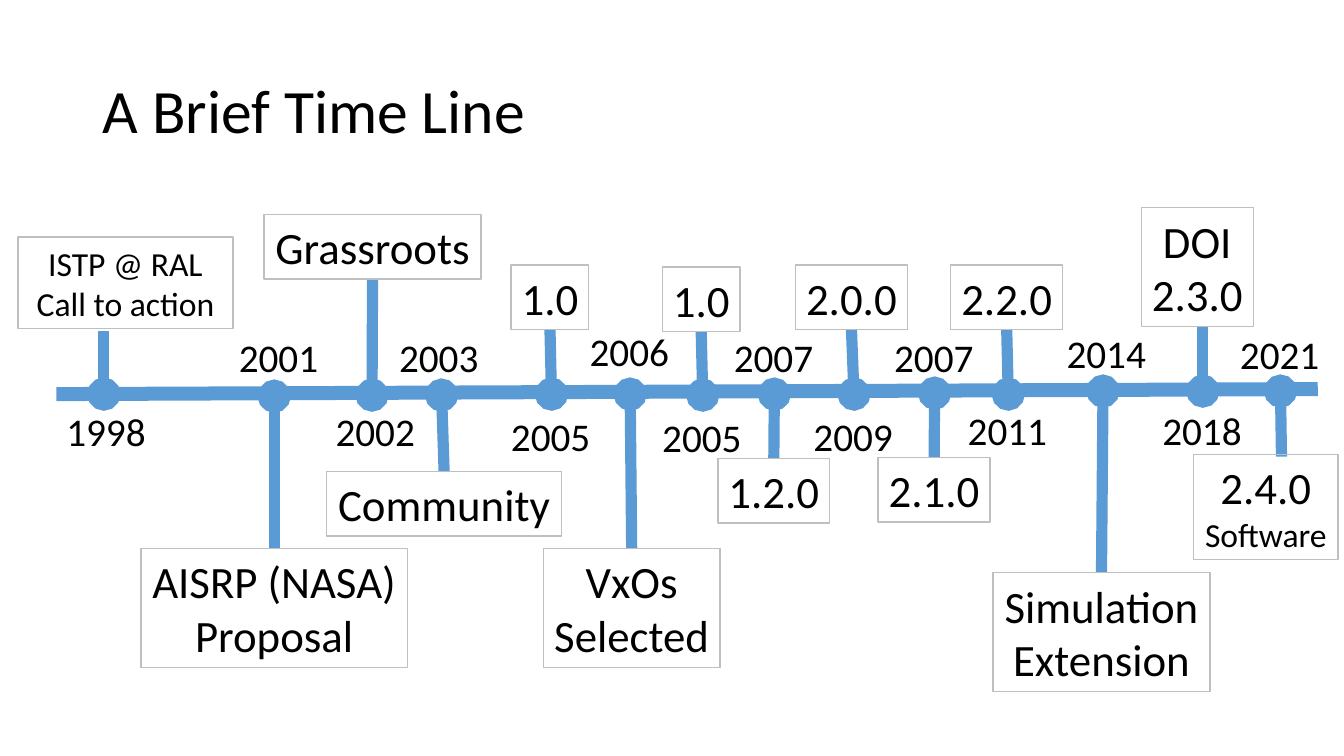
from lxml import etree
from pptx import Presentation
from pptx.dml.color import RGBColor
from pptx.enum.shapes import MSO_CONNECTOR, MSO_SHAPE
from pptx.enum.text import MSO_ANCHOR, MSO_AUTO_SIZE, PP_ALIGN
from pptx.oxml.ns import qn
from pptx.util import Inches, Pt

RECTANGLE = MSO_SHAPE.RECTANGLE
STRAIGHT = MSO_CONNECTOR.STRAIGHT
MIDDLE = MSO_ANCHOR.MIDDLE
GROW = MSO_AUTO_SIZE.SHAPE_TO_FIT_TEXT
LEFT, CENTER = PP_ALIGN.LEFT, PP_ALIGN.CENTER
TOP_SIDE, BOTTOM_SIDE = 0, 2
BLUE, GRAY, BLACK = "5B9BD5", "BFBFBF", "000000"


def write(frame, lines, align):
    """Fill a text frame with (text, size) paragraphs."""
    for index, (text, size) in enumerate(lines):
        para = frame.add_paragraph() if index else frame.paragraphs[0]
        para.text = text
        para.alignment = align
        para.font.name = "Calibri"
        para.font.size = Pt(size)
        para.font.color.rgb = RGBColor.from_string(BLACK)


def add_line(shapes, start, end, width):
    line = shapes.add_connector(STRAIGHT, *map(Inches, start + end))
    line.line.color.rgb = RGBColor.from_string(BLUE)
    line.line.width = Pt(width)
    etree.SubElement(line._element.spPr, qn("a:effectLst"))
    return line


deck = Presentation()
deck.slide_width, deck.slide_height = Inches(13.33), Inches(7.5)
page = deck.slides.add_slide(deck.slide_layouts[6])

# Title
title = page.shapes.add_textbox(Inches(0.92), Inches(0.4), Inches(11.5), Inches(1.45))
title.text_frame.word_wrap = True
title.text_frame.vertical_anchor = MIDDLE
write(title.text_frame, [("A Brief Time Line", 44)], LEFT)
title.text_frame.paragraphs[0].line_spacing = 0.9

# Time axis
add_line(page.shapes, (0.56, 3.91), (13.07, 3.86), 10)

# Events: stem start, stem end, box (left, top, width, height), box lines, year, year corner
events = [
    ((1.03, 3.91), (1.03, 3.28), (0.18, 2.35, 2.13, 0.91),
     [("ISTP @ RAL", 24), ("Call to action", 24)], "1998", (0.56, 3.99)),
    ((2.72, 3.93), (2.72, 5.44), (1.4, 5.44, 2.64, 1.18),
     [("AISRP (NASA)", 32), ("Proposal", 32)], "2001", (2.27, 3.26)),
    ((3.69, 3.92), (3.69, 2.77), (2.62, 2.13, 2.15, 0.64),
     [("Grassroots", 32)], "2002", (3.23, 3.99)),
    ((4.38, 3.92), (4.41, 4.68), (3.24, 4.68, 2.33, 0.64),
     [("Community", 32)], "2003", (3.86, 3.26)),
    ((5.47, 3.91), (5.47, 3.26), (5.07, 2.63, 0.77, 0.64),
     [("1.0", 32)], "2005", (4.97, 4.04)),
    ((6.25, 3.91), (6.26, 5.44), (5.39, 5.44, 1.75, 1.18),
     [("VxOs", 32), ("Selected", 32)], "2006", (5.75, 3.2)),
    ((6.97, 3.92), (6.97, 3.28), (6.57, 2.65, 0.77, 0.64),
     [("1.0", 32)], "2005", (6.47, 4.05)),
    ((8.47, 3.91), (8.47, 3.26), (7.89, 2.63, 1.11, 0.64),
     [("2.0.0", 32)], "2009", (7.97, 4.04)),
    ((10, 3.91), (10, 3.26), (9.43, 2.63, 1.11, 0.64),
     [("2.2.0", 32)], "2011", (9.5, 3.98)),
    ((7.68, 3.91), (7.69, 4.56), (7.12, 4.55, 1.11, 0.64),
     [("1.2.0", 32)], "2007", (7.18, 3.26)),
    ((9.27, 3.9), (9.28, 4.56), (8.71, 4.54, 1.11, 0.64),
     [("2.1.0", 32)], "2007", (8.77, 3.26)),
    ((10.94, 3.88), (10.92, 5.68), (9.85, 5.68, 2.15, 1.18),
     [("Simulation\vExtension", 32)], "2014", (10.48, 3.22)),
    ((11.93, 3.88), (11.93, 3.24), (11.32, 2.06, 1.11, 1.18),
     [("DOI\v2.3.0", 32)], "2018", (11.43, 3.98)),
    ((12.7, 3.88), (12.71, 4.53), (11.84, 4.51, 1.43, 1.04),
     [("2.4.0", 32), ("Software", 24)], "2021", (12.2, 3.23)),
]

for start, end, area, lines, year, corner in events:
    event = page.shapes.add_group_shape().shapes

    # Stem with a round marker on the axis
    stem = add_line(event, start, end, 8)
    etree.SubElement(stem.line._get_or_add_ln(), qn("a:headEnd"), type="oval")

    # Event box
    box = event.add_shape(RECTANGLE, *map(Inches, area))
    box.shadow.inherit = False
    box.fill.background()
    box.line.color.rgb = RGBColor.from_string(GRAY)
    box.line.width = Pt(1)
    box.text_frame.word_wrap = year == "1998"
    box.text_frame.auto_size = GROW
    write(box.text_frame, lines, CENTER)

    # Join the stem where it meets the middle of the box side
    if abs(area[0] + area[2] / 2 - end[0]) < 0.03:
        stem.end_connect(box, BOTTOM_SIDE if end[1] < start[1] else TOP_SIDE)

    # Year label
    label = event.add_textbox(*map(Inches, corner + (1, 0.57)))
    label.text_frame.word_wrap = False
    label.text_frame.auto_size = GROW
    write(label.text_frame, [(year, 28)], LEFT)

deck.save("out.pptx")
